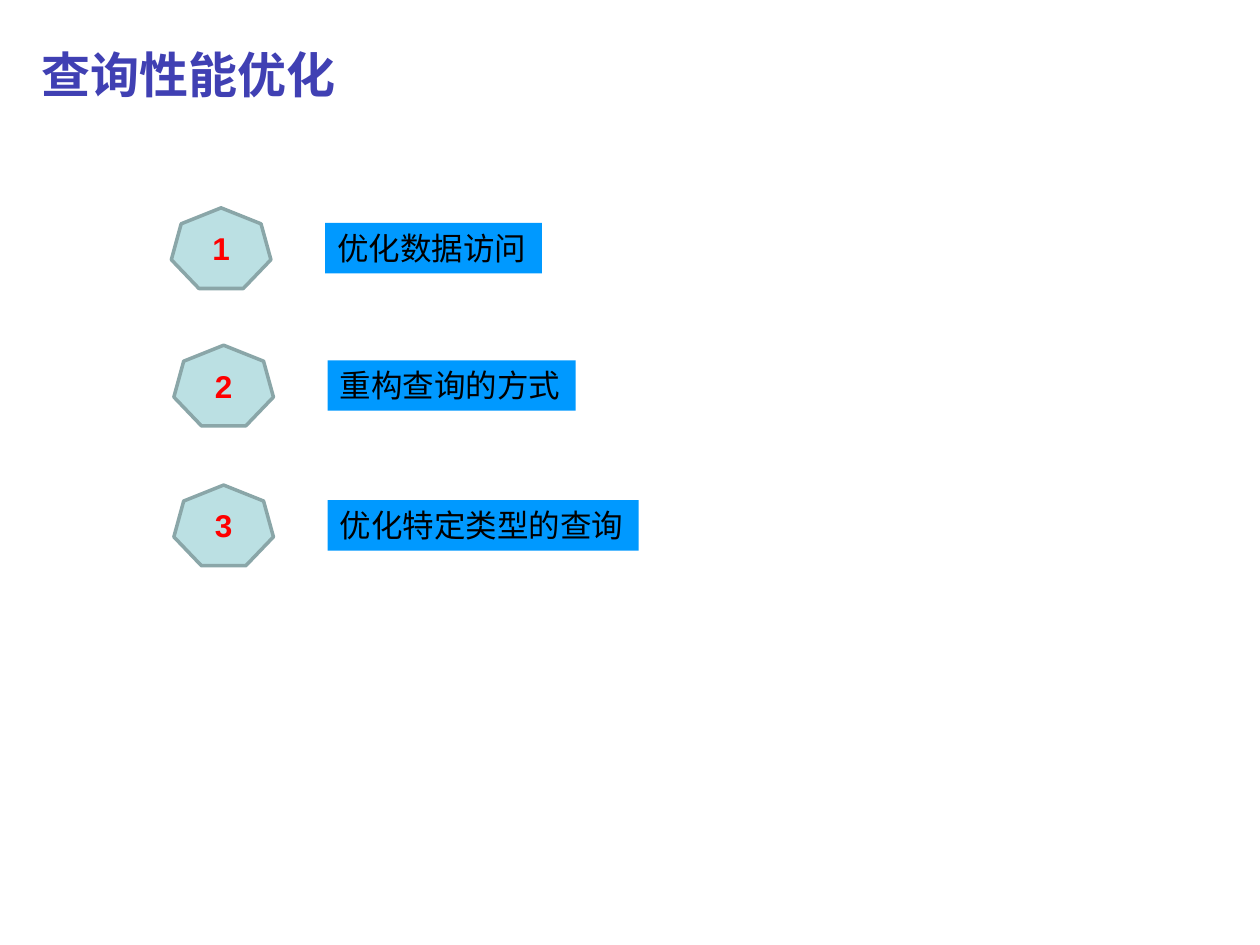
import pptx
import pptx.util
import pptx.dml.color
import pptx.enum.shapes
import pptx.enum.text

RGBColor = pptx.dml.color.RGBColor
Shape = pptx.enum.shapes.MSO_SHAPE
Anchor = pptx.enum.text.MSO_ANCHOR
Align = pptx.enum.text.PP_ALIGN

INDIGO = RGBColor(0x40, 0x40, 0xB3)
PALE_TEAL = RGBColor(0xBB, 0xE0, 0xE3)
GREY_TEAL = RGBColor(0x8A, 0xA6, 0xA8)
BLUE = RGBColor(0x00, 0x99, 0xFF)
RED = RGBColor(0xFF, 0x00, 0x00)
BLACK = RGBColor(0x00, 0x00, 0x00)

WIDTH, HEIGHT = pptx.util.Inches(10), pptx.util.Inches(7.5)
COLUMN, ROW = WIDTH / 100, HEIGHT / 75
TOPICS = [
    (13.6, 16.5, "优化数据访问"),
    (13.8, 27.4, "重构查询的方式"),
    (13.8, 38.5, "优化特定类型的查询"),
]


def grid_box(left, top, width, height):
    """Turn grid columns and rows into slide lengths."""
    return round(left * COLUMN), round(top * ROW), round(width * COLUMN), round(height * ROW)


def write_text(shape, text, size=18, color=BLACK, bold=False,
               align=Align.LEFT, anchor=Anchor.TOP, wrap=False):
    """Write one formatted paragraph into a shape."""
    frame = shape.text_frame
    frame.auto_size = pptx.enum.text.MSO_AUTO_SIZE.NONE
    frame.word_wrap = wrap
    frame.vertical_anchor = anchor
    paragraph = frame.paragraphs[0]
    paragraph.alignment = align
    run = paragraph.add_run()
    run.text = text
    run.font.name = "Arial"
    run.font.size = pptx.util.Pt(size)
    run.font.bold = bold
    run.font.color.rgb = color


def add_filled(slide, kind, box, fill):
    """Add a flat preset shape without an outline."""
    shape = slide.shapes.add_shape(kind, *grid_box(*box))
    shape.shadow.inherit = False
    shape.fill.solid()
    shape.fill.fore_color.rgb = fill
    shape.line.fill.background()
    return shape


def place_heading(slide, box, text):
    """Move the title placeholder into its box and write the heading."""
    heading = slide.shapes.title
    heading.left, heading.top, heading.width, heading.height = grid_box(*box)
    write_text(heading, text, size=28, color=INDIGO, bold=True)


def place_topic(slide, left, top, number, topic):
    """Place a numbered badge and its topic label from a top left corner."""
    badge = add_filled(slide, Shape.HEPTAGON, (left, top, 7.9, 6.4), PALE_TEAL)
    badge.line.color.rgb = GREY_TEAL
    badge.line.width = pptx.util.Pt(2)
    write_text(badge, str(number), color=RED, bold=True,
               align=Align.CENTER, anchor=Anchor.MIDDLE, wrap=True)
    label_width = 2.2 + 2.5 * len(topic)
    label = add_filled(slide, Shape.RECTANGLE, (left + 12.2, top + 1.2, label_width, 4), BLUE)
    write_text(label, topic)


def main():
    """Build the slide and save it."""
    deck = pptx.Presentation()
    deck.slide_width, deck.slide_height = WIDTH, HEIGHT
    slide = deck.slides.add_slide(deck.slide_layouts[5])
    place_heading(slide, (2.3, 3, 25.7, 5.7), "查询性能优化")
    for number, (left, top, topic) in enumerate(TOPICS, start=1):
        place_topic(slide, left, top, number, topic)
    deck.save("out.pptx")


if __name__ == "__main__":
    main()
